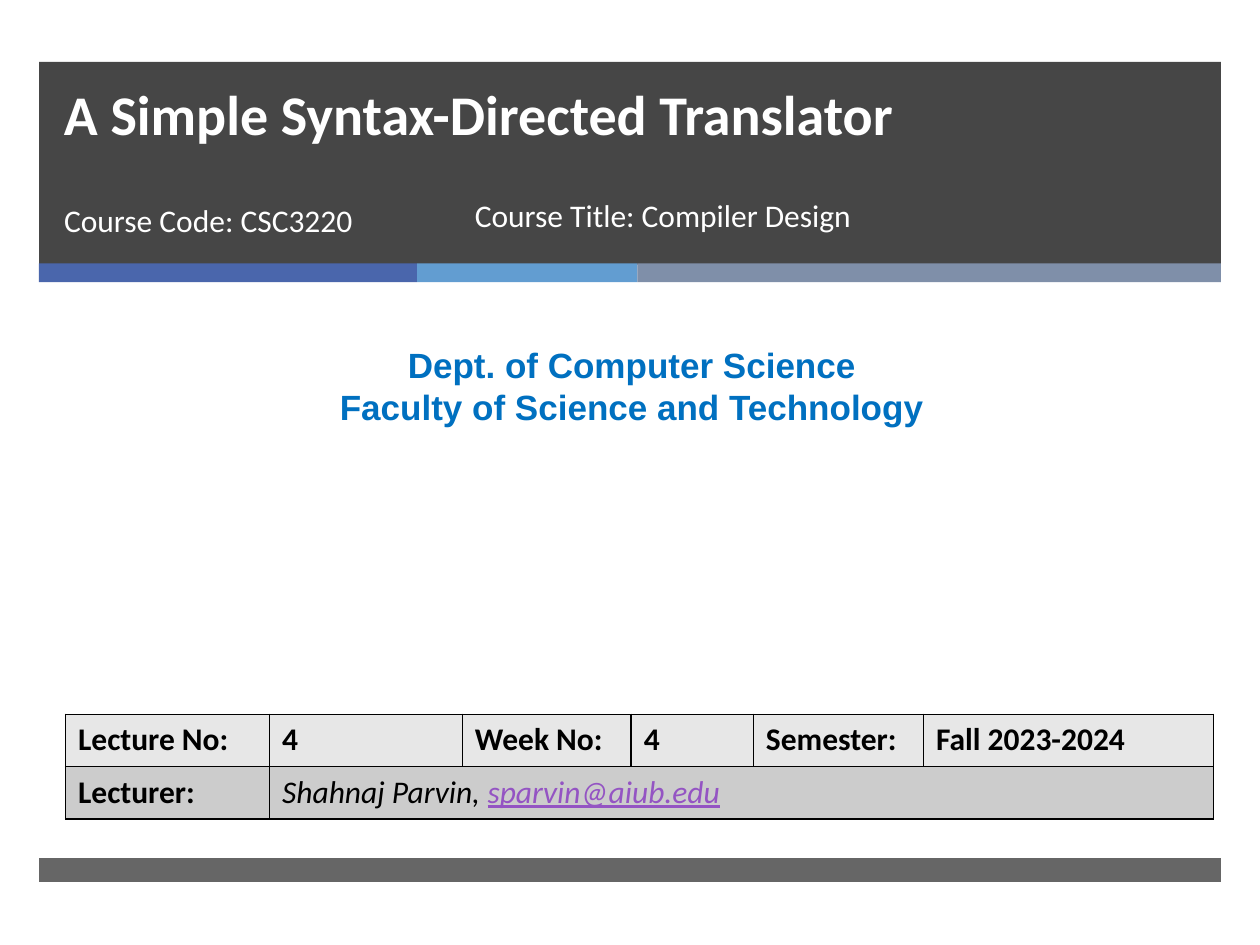
"""Build the title slide of a compiler design lecture."""
from itertools import accumulate

from lxml import etree
from pptx import Presentation
from pptx import util as u
from pptx.dml.color import RGBColor
from pptx.enum import shapes, text
from pptx.oxml.ns import qn

WHITE, BLACK, BLUE, CHARCOAL = "FFFFFF", "000000", "0070C0", "262626"
MARGIN, BAND_WIDTH = 0.31, 9.38

TITLE = "A Simple Syntax-Directed Translator"
COURSE_CODE = "Course Code: CSC3220"
COURSE_TITLE = "Course Title: Compiler Design"
DEPARTMENT = ["Dept. of Computer Science", "Faculty of Science and Technology"]
STRIPES = [(3, "4A66AC"), (1.75, "629DD1"), (4.63, "7F8FA9")]
BANDS = [(0.49, 1.61, 85), (6.81, 0.19, 70)]

COLUMNS = [1.62, 1.53, 1.34, 0.97, 1.35, 2.3]
ROW_HEIGHT = 0.415
ROWS = [
    ("E7E7E7", ["Lecture No:", "4", "Week No:", "4", "Semester:", "Fall 2023-2024"]),
    ("CCCCCC", ["Lecturer:"]),
]
LECTURER, EMAIL = "Shahnaj Parvin, ", "sparvin@aiub.edu"


def rgb(color):
    return RGBColor.from_string(color)


def inches(*lengths):
    return [u.Inches(length) for length in lengths]


def add_run(paragraph, content, size=18, font="Calibri", color=BLACK,
            bold=False, italic=False, underline=False):
    run = paragraph.add_run()
    run.text = content
    run.font.size = u.Pt(size)
    run.font.name = font
    run.font.color.rgb = rgb(color)
    run.font.bold, run.font.italic, run.font.underline = bold, italic, underline


def add_text(slide, box, lines, align=text.PP_ALIGN.LEFT,
             anchor=text.MSO_ANCHOR.TOP, spacing=None, **style):
    frame = slide.shapes.add_textbox(*inches(*box)).text_frame
    frame.word_wrap = True
    frame.vertical_anchor = anchor
    for index, line in enumerate(lines):
        paragraph = frame.add_paragraph() if index else frame.paragraphs[0]
        paragraph.alignment = align
        paragraph.line_spacing = spacing
        add_run(paragraph, line, **style)


def add_bar(slide, box, color, opacity=100):
    bar = slide.shapes.add_shape(shapes.MSO_SHAPE.RECTANGLE, *inches(*box))
    bar.shadow.inherit = False
    bar.line.fill.background()
    bar.fill.solid()
    bar.fill.fore_color.rgb = rgb(color)
    if opacity < 100:
        value = next(bar.element.spPr.iter(qn("a:srgbClr")))
        etree.SubElement(value, qn("a:alpha"), val=str(opacity * 1000))


def style_cell(cell, fill):
    properties = cell._tc.get_or_add_tcPr()
    for side in ("lnL", "lnR", "lnT", "lnB"):
        line = etree.SubElement(properties, qn(f"a:{side}"), w=str(u.Pt(1)))
        solid = etree.SubElement(line, qn("a:solidFill"))
        etree.SubElement(solid, qn("a:srgbClr"), val=BLACK)
    cell.fill.solid()
    cell.fill.fore_color.rgb = rgb(fill)


def add_lecture_table(slide):
    box = inches(0.52, 5.67, sum(COLUMNS), ROW_HEIGHT * len(ROWS))
    table = slide.shapes.add_table(len(ROWS), len(COLUMNS), *box).table
    for column, width in zip(table.columns, COLUMNS):
        column.width = u.Inches(width)
    for row, (fill, labels) in enumerate(ROWS):
        for column in range(len(COLUMNS)):
            style_cell(table.cell(row, column), fill)
        for column, label in enumerate(labels):
            add_run(table.cell(row, column).text_frame.paragraphs[0], label, bold=True)
    lecturer = table.cell(1, 1)
    lecturer.merge(table.cell(1, len(COLUMNS) - 1))
    paragraph = lecturer.text_frame.paragraphs[0]
    add_run(paragraph, LECTURER, italic=True)
    add_run(paragraph, EMAIL, color="9454C3", italic=True, underline=True)


def main():
    presentation = Presentation()
    presentation.slide_width, presentation.slide_height = inches(10, 7.5)
    slide = presentation.slides.add_slide(presentation.slide_layouts[6])

    for top, height, opacity in BANDS:
        add_bar(slide, (MARGIN, top, BAND_WIDTH, height), CHARCOAL, opacity)
    lefts = accumulate((width for width, _ in STRIPES), initial=MARGIN)
    for left, (width, color) in zip(lefts, STRIPES):
        add_bar(slide, (left, 2.09, width, 0.15), color)

    add_text(slide, (0.08, 2.68, 9.87, 0.77), DEPARTMENT, align=text.PP_ALIGN.CENTER,
             size=20, font="Arial", color=BLUE, bold=True)
    add_lecture_table(slide)
    add_text(slide, (0.41, 1.55, 3.05, 0.53), [COURSE_CODE], color=WHITE)
    add_text(slide, (3.67, 1.51, 4.55, 0.53), [COURSE_TITLE], color=WHITE)
    add_text(slide, (0.41, 0.02, 8.54, 1.19), [TITLE], anchor=text.MSO_ANCHOR.BOTTOM,
             spacing=u.Pt(46), size=32, color=WHITE, bold=True)
    presentation.save("out.pptx")


if __name__ == "__main__":
    main()
